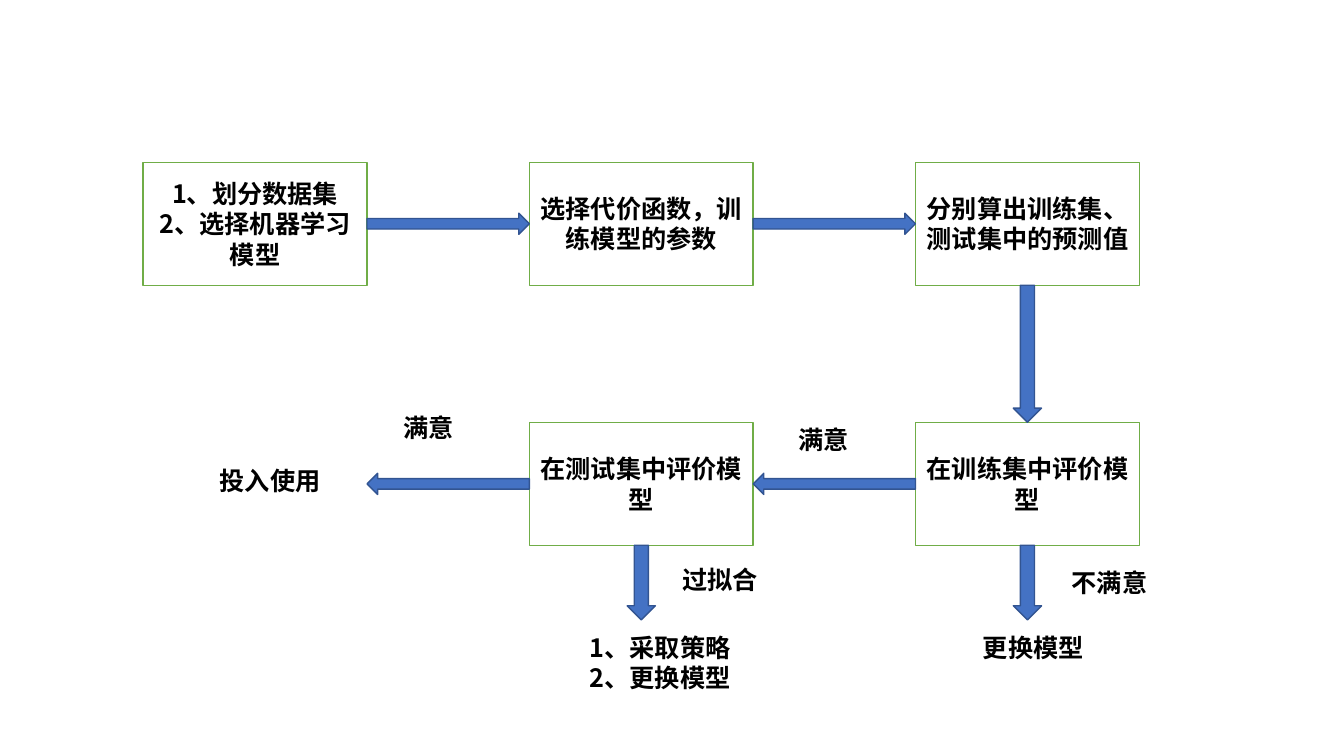
from lxml.etree import SubElement
from pptx import Presentation
from pptx.dml.color import RGBColor
from pptx.enum.shapes import MSO_SHAPE
from pptx.enum.text import MSO_ANCHOR, MSO_AUTO_SIZE, PP_ALIGN
from pptx.oxml.ns import qn
from pptx.util import Inches, Pt

COLORS = {"paper": "FFFFFF", "box_line": "70AD47", "arrow": "4472C4",
          "arrow_line": "325491", "text": "000000"}
FONT = "Noto Sans CJK SC"
TEXT_FORMAT = {"name": FONT, "size": Pt(18), "bold": True}

COLUMNS = [1.42, 5.25, 9.08]
ROWS = [1.61, 4.19]
BOX_WIDTH, BOX_HEIGHT = 2.22, 1.22
EXIT_LENGTH = 0.74
ACROSS, DOWN = 0.21, 0.28
LABEL_WIDTH = 1.75

STEPS = [
    (0, 0, ["1、划分数据集", "2、选择机器学习模型"]),
    (1, 0, ["选择代价函数，训练模型的参数"]),
    (2, 0, ["分别算出训练集、测试集中的预测值"]),
    (2, 1, ["在训练集中评价模型"]),
    (1, 1, ["在测试集中评价模型"]),
]
LABELS = [
    (2.08, 4.57, ["投入使用"]),
    (9.65, 6.22, ["更换模型"]),
    (10.53, 5.58, ["不满意"]),
    (7.82, 4.16, ["满意"]),
    (3.9, 4.04, ["满意"]),
    (6.67, 5.55, ["过拟合"]),
    (5.75, 6.22, ["1、采取策略", "2、更换模型"]),
]

deck = Presentation()
deck.slide_width, deck.slide_height = Inches(13.33), Inches(7.5)
page = deck.slides.add_slide(deck.slide_layouts[6])
page.background.fill.solid()
page.background.fill.fore_color.rgb = RGBColor.from_string(COLORS["paper"])


def add_block(kind, left, top, width, height, fill, line):
    block = page.shapes.add_shape(
        kind, Inches(left), Inches(top), Inches(width), Inches(height))
    block.shadow.inherit = False
    block.fill.solid()
    block.fill.fore_color.rgb = RGBColor.from_string(COLORS[fill])
    block.line.color.rgb = RGBColor.from_string(COLORS[line])
    block.line.width = Pt(1)
    return block


def add_arrow(center_x, center_y, length, thickness, rotation):
    arrow = add_block(MSO_SHAPE.RIGHT_ARROW, center_x - length / 2,
                      center_y - thickness / 2, length, thickness,
                      "arrow", "arrow_line")
    arrow.rotation = rotation


def write(frame, lines, align):
    frame.word_wrap = True
    for index, line in enumerate(lines):
        para = frame.paragraphs[0] if index == 0 else frame.add_paragraph()
        para.alignment = align
        span = para.add_run()
        span.text = line
        for name, value in TEXT_FORMAT.items():
            setattr(span.font, name, value)
        span.font.color.rgb = RGBColor.from_string(COLORS["text"])
        SubElement(span.font._element, qn("a:ea")).set("typeface", FONT)


for column, row, lines in STEPS:
    box = add_block(MSO_SHAPE.RECTANGLE, COLUMNS[column], ROWS[row],
                    BOX_WIDTH, BOX_HEIGHT, "paper", "box_line")
    box.text_frame.vertical_anchor = MSO_ANCHOR.MIDDLE
    write(box.text_frame, lines, PP_ALIGN.CENTER)

for row, rotation in zip(ROWS, (0, 180)):
    for left, right in zip(COLUMNS, COLUMNS[1:]):
        gap = right - left - BOX_WIDTH
        add_arrow(right - gap / 2, row + BOX_HEIGHT / 2, gap, ACROSS, rotation)

row_gap = ROWS[1] - ROWS[0] - BOX_HEIGHT
for column, row, length in [(2, 0, row_gap), (2, 1, EXIT_LENGTH), (1, 1, EXIT_LENGTH)]:
    add_arrow(COLUMNS[column] + BOX_WIDTH / 2,
              ROWS[row] + BOX_HEIGHT + length / 2, length, DOWN, 90)

for left, top, lines in LABELS:
    height = 0.4 + 0.31 * (len(lines) - 1)
    label = page.shapes.add_textbox(
        Inches(left), Inches(top), Inches(LABEL_WIDTH), Inches(height))
    label.text_frame.auto_size = MSO_AUTO_SIZE.SHAPE_TO_FIT_TEXT
    write(label.text_frame, lines, PP_ALIGN.LEFT)

deck.save("out.pptx")
